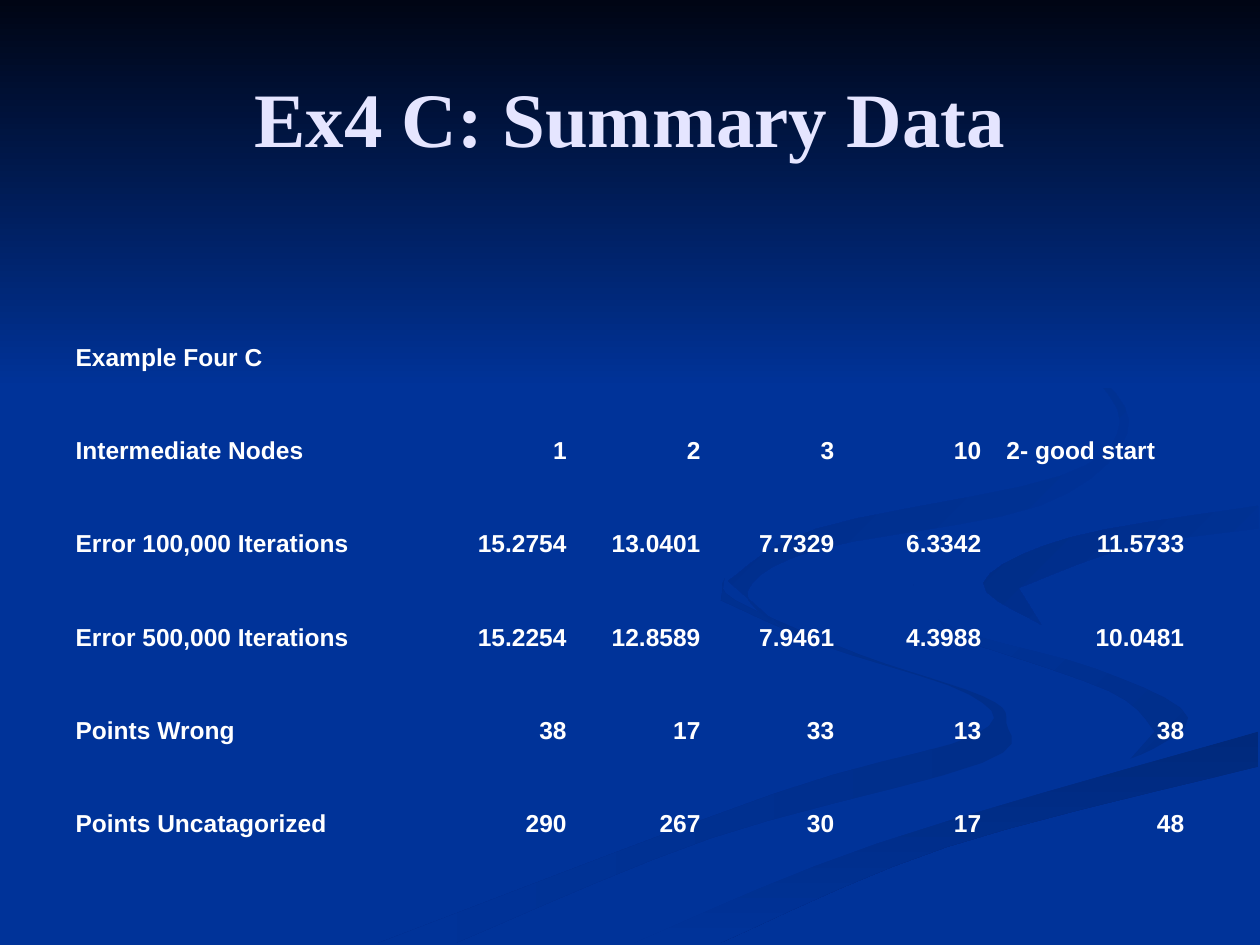
from pptx import Presentation
from pptx.dml.color import RGBColor
from pptx.enum import shapes, text
from pptx.oxml import ns
from pptx.util import Pt

BLUE = RGBColor(0x00, 0x33, 0x99)
NIGHT = RGBColor(0x00, 0x05, 0x14)
DEEP = RGBColor(0x00, 0x2E, 0x8A)
DEEPER = RGBColor(0x00, 0x29, 0x7C)
SHADE = RGBColor(0x00, 0x2C, 0x85)
LAVENDER = RGBColor(0xE5, 0xE5, 0xFF)
WHITE = RGBColor(0xFF, 0xFF, 0xFF)
NO_GRID_STYLE = "{2D5ABB26-0587-4C30-8999-92F81FD0307C}"

# Content
TITLE = "Ex4 C: Summary Data"
ROWS = [
    ["Example Four C", "", "", "", "", ""],
    ["Intermediate Nodes", "1", "2", "3", "10", "2- good start"],
    ["Error 100,000 Iterations", "15.2754", "13.0401", "7.7329", "6.3342", "11.5733"],
    ["Error 500,000 Iterations", "15.2254", "12.8589", "7.9461", "4.3988", "10.0481"],
    ["Points Wrong", "38", "17", "33", "13", "38"],
    ["Points Uncatagorized", "290", "267", "30", "17", "48"],
]
LEFT_ALIGNED = {"2- good start"}
COLUMN_WIDTHS = [214.5, 80.5, 76.5, 76.5, 84, 116]
FIRST_ROW, OTHER_ROW = 90, 53.3

# Edges that neighbouring ribbons share
BEND = [(522, 334), (546, 359), (626, 382), (679, 410)]
STREAM = [(362, 539), (501, 482), (719, 418)]
BRANCH = [(562, 333), (612, 307), (719, 289)]

# Background ribbons: first colour, last colour, clockwise angle, smooth edges
RIBBONS = [
    (DEEP, BLUE, 180, [
        [(414, 330), (420, 343), (491, 374), (562, 398), (575, 413), (561, 436),
         (406, 479), (260, 539)],
        [(216, 539), (444, 453), (557, 420), (554, 397), (471, 369), (412, 343)]]),
    (DEEP, BLUE, 225, [
        BEND + [(644, 436)],
        [(660, 418), (634, 395), (544, 364)]]),
    (DEEPER, BLUE, 90, [STREAM, [(719, 438), (541, 484), (411, 539)]]),
    (BLUE, BLUE, 0, [
        [(719, 279), (567, 304)] + BEND + [(634, 438), (477, 481), (343, 539)],
        STREAM,
        [(719, 387), (624, 366)] + BRANCH]),
    (BLUE, SHADE, 225, [
        BRANCH[::-1] + [(595, 357)],
        [(582, 336), (645, 313), (719, 302)]]),
    (BLUE, SHADE, 225, [
        [(549, 168), (622, 210), (644, 248), (594, 289), (467, 314), (427, 338), (448, 360)],
        [(416, 332), (467, 302), (606, 272), (640, 241), (616, 205)]]),
]


def write(frame, words, font, size, color, align):
    para = frame.paragraphs[0]
    para.alignment = align
    span = para.add_run()
    span.text = words
    span.font.name = font
    span.font.size = Pt(size)
    span.font.bold = True
    span.font.color.rgb = color


def smooth(edge, steps=5):
    """Catmull-Rom curve through the points of an open edge."""
    padded = [edge[0], *edge, edge[-1]]
    curve = [edge[0]]
    for a, b, c, d in zip(padded, padded[1:], padded[2:], padded[3:]):
        for step in range(1, steps + 1):
            t = step / steps
            curve.append(tuple(
                q + t * (r - p + t * (2 * p - 5 * q + 4 * r - s
                                      + t * (3 * q - p - 3 * r + s))) / 2
                for p, q, r, s in zip(a, b, c, d)))
    return curve


def paint(shape, first, last, angle):
    shape.shadow.inherit = False
    shape.line.fill.background()
    if first == last:
        shape.fill.solid()
        shape.fill.fore_color.rgb = first
        return
    shape.fill.gradient()
    shape.fill.gradient_angle = -angle % 360
    for stop, color, position in zip(shape.fill.gradient_stops, (first, last), (0, 1)):
        stop.color.rgb = color
        stop.position = position


def draw_ribbon(page, first, last, angle, edges):
    start, *others = [(Pt(x), Pt(y)) for edge in edges for x, y in smooth(edge)]
    builder = page.shapes.build_freeform(*start)
    builder.add_line_segments(others, close=True)
    paint(builder.convert_to_shape(), first, last, angle)


def add_summary(page):
    frame = page.shapes.add_table(
        len(ROWS), len(COLUMN_WIDTHS), Pt(36), Pt(126), Pt(sum(COLUMN_WIDTHS)),
        Pt(FIRST_ROW + OTHER_ROW * (len(ROWS) - 1)))
    table = frame.table
    table.first_row = table.horz_banding = False
    frame.element.find(".//" + ns.qn("a:tableStyleId")).text = NO_GRID_STYLE
    for column, width in zip(table.columns, COLUMN_WIDTHS):
        column.width = Pt(width)
    for r, values in enumerate(ROWS):
        table.rows[r].height = Pt(OTHER_ROW if r else FIRST_ROW)
        for c, value in enumerate(values):
            cell = table.cell(r, c)
            cell.fill.background()
            cell.vertical_anchor = text.MSO_ANCHOR.BOTTOM
            if value:
                left = c == 0 or value in LEFT_ALIGNED
                write(cell.text_frame, value, "Arial", 14, WHITE,
                      text.PP_ALIGN.LEFT if left else text.PP_ALIGN.RIGHT)


def main():
    deck = Presentation()
    deck.slide_width, deck.slide_height = Pt(720), Pt(540)
    page = deck.slides.add_slide(deck.slide_layouts[5])

    # Background
    page.background.fill.solid()
    page.background.fill.fore_color.rgb = BLUE
    for ribbon in RIBBONS:
        draw_ribbon(page, *ribbon)
    sky = page.shapes.add_shape(shapes.MSO_SHAPE.RECTANGLE, 0, 0, Pt(720), Pt(222))
    paint(sky, NIGHT, BLUE, 90)

    # Title, in front of the background
    title = page.shapes.title
    title.element.getparent().append(title.element)
    title.left, title.top, title.width, title.height = Pt(36), Pt(21.6), Pt(648), Pt(90)
    title.text_frame.vertical_anchor = text.MSO_ANCHOR.MIDDLE
    write(title.text_frame, TITLE, "Times New Roman", 44, LAVENDER, text.PP_ALIGN.CENTER)

    add_summary(page)
    deck.save("out.pptx")


if __name__ == "__main__":
    main()
